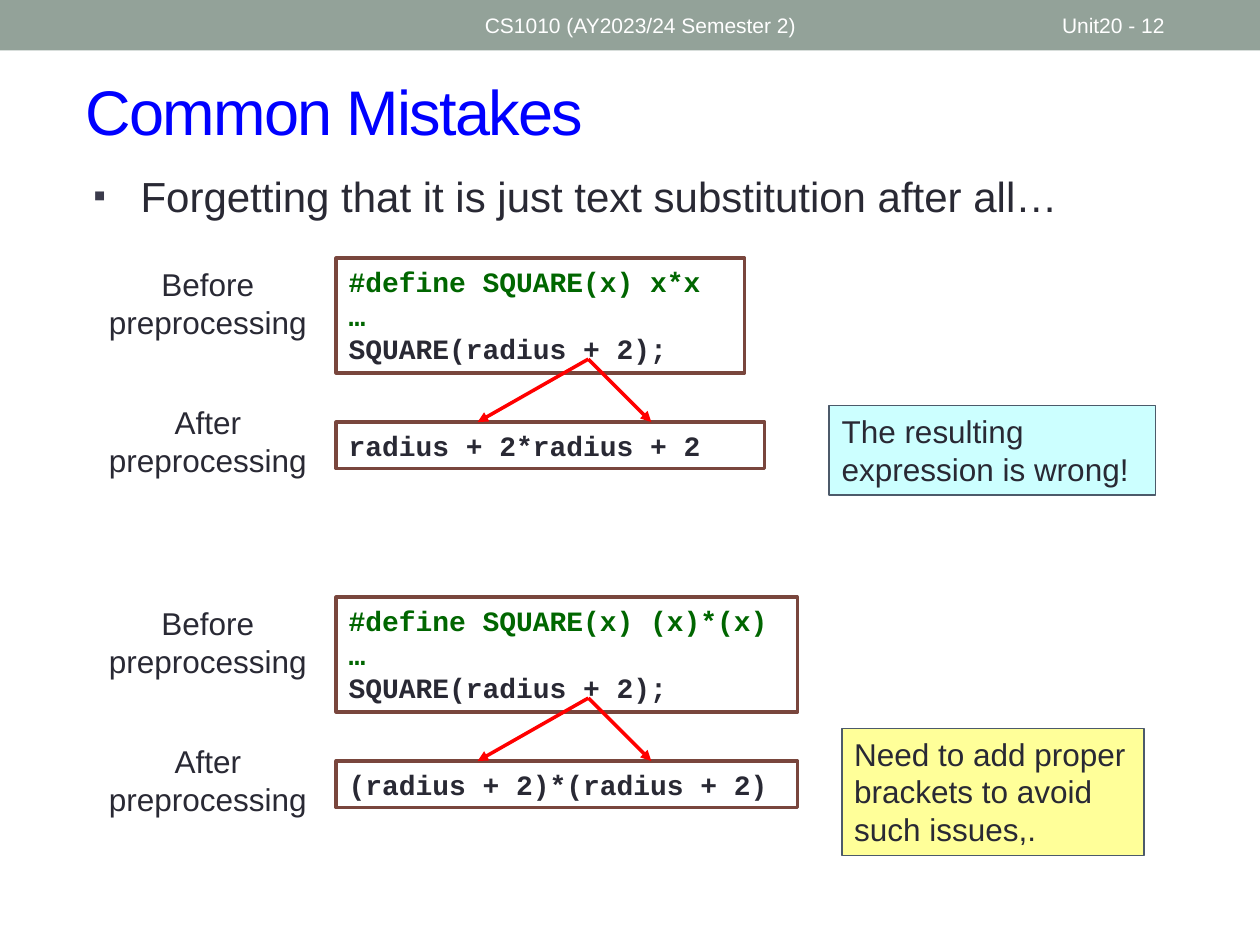
from lxml.etree import SubElement
from pptx import Presentation
from pptx.dml.color import RGBColor
from pptx.enum.shapes import MSO_CONNECTOR as Connector, MSO_SHAPE as Shape
from pptx.enum.text import MSO_ANCHOR as Anchor, PP_ALIGN as Align
from pptx.oxml.ns import qn
from pptx.util import Pt

SANS, MONO = "Arial", "Courier New"
INK, GREEN, BLUE, WHITE = "292934", "006600", "0000FF", "FFFFFF"
SAGE, BROWN, SLATE, RED = "93A299", "79463D", "4C5A6A", "FF0000"
CYAN, YELLOW, BULLET = "CCFFFF", "FFFF99", "3B3B4B"
CODE_LEFT = 192.2


def color(hex_string):
    return RGBColor.from_string(hex_string)


def place(shape, left, top, width, height):
    shape.left, shape.top = Pt(left), Pt(top)
    shape.width, shape.height = Pt(width), Pt(height)


def style(para, size, hex_color=INK, name=SANS, bold=False, align=Align.LEFT):
    para.alignment = align
    font = para.font
    font.name, font.size, font.bold = name, Pt(size), bold
    font.color.rgb = color(hex_color)


def add_title(slide, text):
    title = slide.shapes.title
    place(title, 41.8, 30.2, 660.2, 66.2)
    frame = title.text_frame
    frame.text, frame.vertical_anchor = text, Anchor.MIDDLE
    para = frame.paragraphs[0]
    style(para, 36, BLUE)
    para.runs[0].font._element.set("spc", "-100")


def add_bullet(slide, text):
    body = slide.placeholders[1]
    place(body, 46.1, 93.6, 653, 111.6)
    body.text_frame.text = text
    para = body.text_frame.paragraphs[0]
    para.space_before = Pt(6)
    properties = para._p.get_or_add_pPr()
    properties.set("marL", str(Pt(27)))
    properties.set("indent", str(Pt(-27)))
    SubElement(SubElement(properties, qn("a:buClr")), qn("a:srgbClr"), val=BULLET)
    SubElement(properties, qn("a:buSzPct"), val="85000")
    SubElement(properties, qn("a:buFont"), typeface=SANS)
    SubElement(properties, qn("a:buChar"), char="▪")
    style(para, 24)


def add_text(slide, text, bounds, size, hex_color=INK, align=Align.LEFT):
    box = slide.shapes.add_textbox(*map(Pt, bounds))
    frame = box.text_frame
    frame.word_wrap, frame.vertical_anchor = True, Anchor.MIDDLE
    frame.text = text
    style(frame.paragraphs[0], size, hex_color, align=align)


def add_box(slide, bounds, fill, line=None, line_width=1):
    box = slide.shapes.add_shape(Shape.RECTANGLE, *map(Pt, bounds))
    box.shadow.inherit = False
    box.fill.solid()
    box.fill.fore_color.rgb = color(fill)
    if line:
        box.line.color.rgb = color(line)
        box.line.width = Pt(line_width)
    else:
        box.line.fill.background()
    frame = box.text_frame
    frame.word_wrap, frame.vertical_anchor = True, Anchor.TOP
    return box


def add_code(slide, lines, top, width, height):
    """Draw a code box; lines are (text, colour) pairs."""
    box = add_box(slide, (CODE_LEFT, top, width, height), WHITE, BROWN, 2.08)
    frame = box.text_frame
    frame.text = "\n".join(text for text, _ in lines)
    for para, (_, hex_color) in zip(frame.paragraphs, lines):
        style(para, 16, hex_color, MONO, bold=True)


def add_note(slide, text, bounds, fill):
    frame = add_box(slide, bounds, fill, SLATE).text_frame
    frame.text = text
    style(frame.paragraphs[0], 18)


def add_arrow(slide, start, end):
    arrow = slide.shapes.add_connector(Connector.STRAIGHT, *map(Pt, start + end))
    arrow.line.color.rgb = color(RED)
    arrow.line.width = Pt(2)
    SubElement(arrow.line._get_or_add_ln(), qn("a:tailEnd"), type="triangle")
    SubElement(arrow._element.spPr, qn("a:effectLst"))


def add_example(slide, top, macro, expansion, before_width, after_width):
    """Show a macro call before and after preprocessing, joined by arrows."""
    before = [(macro, GREEN), ("…", GREEN), ("SQUARE(radius + 2);", INK)]
    after_top = top + 93.6
    add_code(slide, before, top, before_width, 65.5)
    add_code(slide, [(expansion, INK)], after_top, after_width, 26.6)
    for label, label_top in (("Before", top - 10), ("After", top + 69.2)):
        add_text(slide, f"{label} preprocessing", (50.4, label_top, 136.8, 70.6),
                 18, align=Align.CENTER)
    for target in (272.9, 372.2):
        add_arrow(slide, (336.2, top + 57.6), (target, after_top))


def main():
    deck = Presentation()
    deck.slide_width, deck.slide_height = Pt(720), Pt(540)
    slide = deck.slides.add_slide(deck.slide_layouts[1])

    add_box(slide, (0, 0, 720, 28.8), SAGE)
    add_title(slide, "Common Mistakes")
    add_bullet(slide, "Forgetting that it is just text substitution after all…")

    add_example(slide, 147.6, "#define SQUARE(x) x*x", "radius + 2*radius + 2",
                233.3, 244.8)
    add_example(slide, 341.3, "#define SQUARE(x) (x)*(x)",
                "(radius + 2)*(radius + 2)", 263.5, 263.5)

    add_note(slide, "The resulting expression is wrong!",
             (473.8, 231.8, 186.5, 51.1), CYAN)
    add_note(slide, "Need to add proper brackets to avoid such issues,.",
             (481, 416.2, 172.8, 72.7), YELLOW)

    add_text(slide, "CS1010 (AY2023/24 Semester 2)", (270, 1.4, 324, 25.9), 12, WHITE)
    add_text(slide, "Unit20 - 12", (599.8, 1.4, 84.2, 25.9), 12, WHITE)
    deck.save("out.pptx")


if __name__ == "__main__":
    main()
